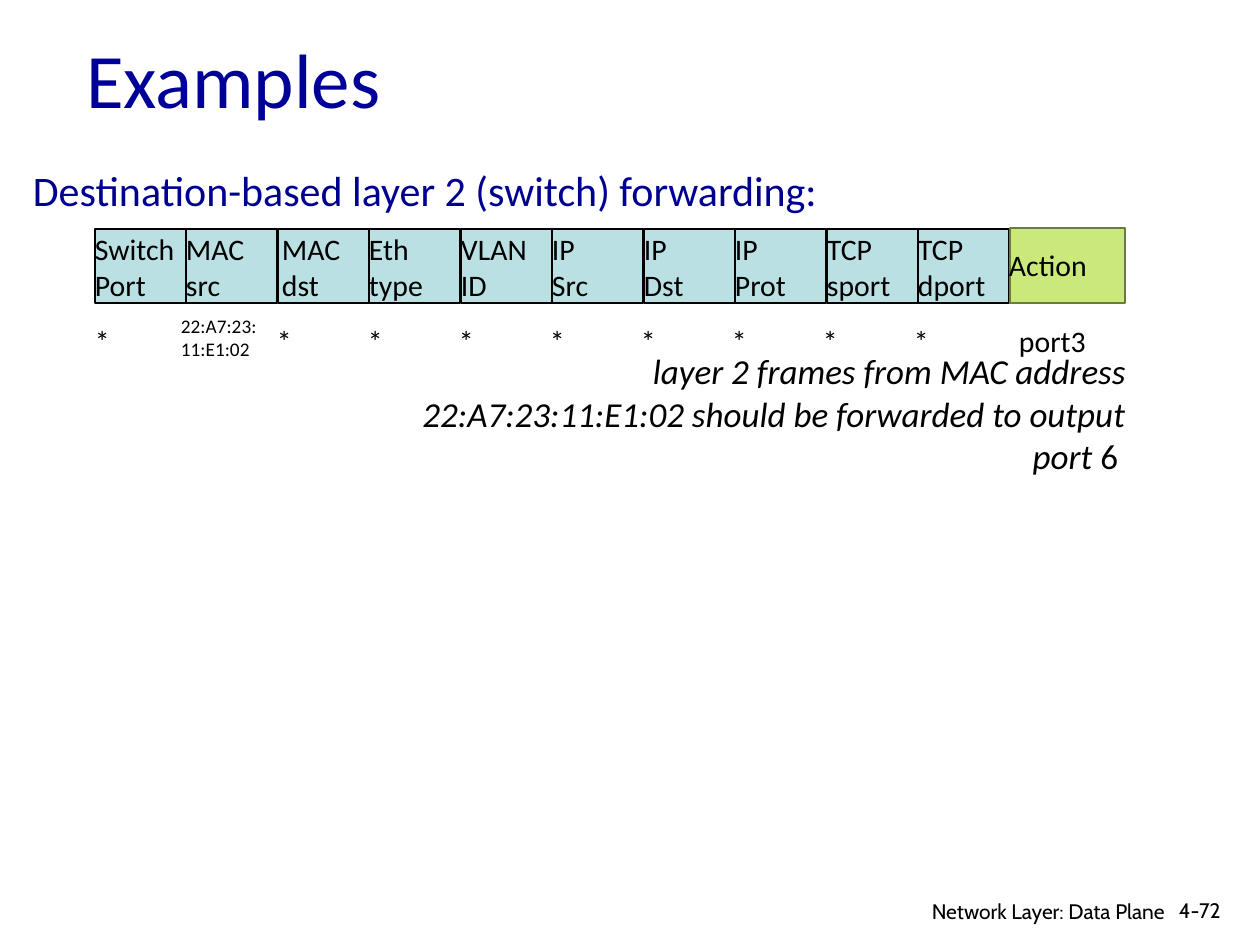
"""Build a slide showing a layer 2 forwarding rule as a flow table entry."""
from dataclasses import dataclass

from pptx import Presentation
from pptx import util as u
from pptx.dml import color
from pptx.enum import shapes, text

EMU_PER_PX = 914400 / 126
COLORS = {
    "title": "000099",
    "heading": "000090",
    "ink": "000000",
    "field": "BBE0E3",
    "action": "CBE97B",
    "action_edge": "697D3A",
}
FIELDS = [
    ("Switch", "Port"), ("MAC", "src"), ("MAC", "dst"), ("Eth", "type"), ("VLAN", "ID"),
    ("IP", "Src"), ("IP", "Dst"), ("IP", "Prot"), ("TCP", "sport"), ("TCP", "dport"),
]
MAC_SRC, MAC_DST = 1, 2
TABLE_LEFT, FIELD_WIDTH = 95, 91


@dataclass(frozen=True)
class Run:
    words: str
    italic: bool = False


@dataclass(frozen=True)
class Label:
    left: int
    top: int
    width: int
    height: int
    lines: tuple[tuple[Run, ...], ...]
    size: int = 17
    color: str = "ink"
    font: str = "Calibri"
    align: text.PP_ALIGN = text.PP_ALIGN.LEFT
    anchor: text.MSO_ANCHOR = text.MSO_ANCHOR.MIDDLE
    inset: tuple[int, int] = (0, 0)


@dataclass(frozen=True)
class Cell:
    left: int
    top: int
    width: int
    height: int
    fill: str
    edge: str


def px(length: int) -> u.Emu:
    """Turn pixels into EMU."""
    return u.Emu(round(length * EMU_PER_PX))


def rgb(name: str) -> color.RGBColor:
    """Look up a named colour."""
    return color.RGBColor.from_string(COLORS[name])


def plain(*lines: str) -> tuple[tuple[Run, ...], ...]:
    """Make one upright run for each line."""
    return tuple((Run(line),) for line in lines)


def draw_label(canvas, label: Label) -> None:
    """Add a text box to a slide's or group's shapes."""
    box = canvas.add_textbox(px(label.left), px(label.top), px(label.width), px(label.height))
    frame = box.text_frame
    frame.word_wrap = True
    frame.vertical_anchor = label.anchor
    frame.margin_left = frame.margin_right = px(label.inset[0])
    frame.margin_top = frame.margin_bottom = px(label.inset[1])
    for number, line in enumerate(label.lines):
        paragraph = frame.add_paragraph() if number else frame.paragraphs[0]
        paragraph.alignment = label.align
        for piece in line:
            run = paragraph.add_run()
            run.text = piece.words
            run.font.name = label.font
            run.font.size = u.Pt(label.size)
            run.font.italic = piece.italic
            run.font.color.rgb = rgb(label.color)


def draw_cell(canvas, cell: Cell) -> None:
    """Add an outlined rectangle to a slide's or group's shapes."""
    rectangle = canvas.add_shape(
        shapes.MSO_SHAPE.RECTANGLE, px(cell.left), px(cell.top), px(cell.width), px(cell.height))
    rectangle.shadow.inherit = False
    rectangle.fill.solid()
    rectangle.fill.fore_color.rgb = rgb(cell.fill)
    rectangle.line.color.rgb = rgb(cell.edge)
    rectangle.line.width = u.Pt(1)


def draw_header(canvas) -> None:
    """Draw the match field names and the action cell."""
    for index, names in enumerate(FIELDS):
        left = TABLE_LEFT + index * 183 // 2
        indent = 4 if index == MAC_DST else 0
        draw_cell(canvas, Cell(left, 229, FIELD_WIDTH, 74, "field", "ink"))
        draw_label(canvas, Label(left + indent, 227, FIELD_WIDTH - indent, 79, plain(*names)))
    draw_cell(canvas, Cell(1010, 228, 115, 75, "action", "action_edge"))
    draw_label(canvas, Label(1009, 243, 116, 44, plain("Action")))


def draw_entry(canvas) -> None:
    """Draw the values of the rule under the header."""
    for index in range(len(FIELDS)):
        if index == MAC_SRC:
            address = plain("22:A7:23:", "11:E1:02")
            draw_label(canvas, Label(181, 316, FIELD_WIDTH, 43, address, size=11))
        else:
            left = TABLE_LEFT + index * FIELD_WIDTH
            draw_label(canvas, Label(left, 319, FIELD_WIDTH, 44, plain("*")))
    draw_label(canvas, Label(1019, 319, FIELD_WIDTH, 44, plain("port3")))


def main() -> None:
    """Compose and save the slide."""
    deck = Presentation()
    deck.slide_width, deck.slide_height = px(1260), px(945)
    canvas = deck.slides.add_slide(deck.slide_layouts[6]).shapes
    draw_label(canvas, Label(33, 165, 906, 50, plain(
        "Destination-based layer 2 (switch) forwarding:"), size=24, color="heading"))
    draw_header(canvas.add_group_shape().shapes)
    draw_entry(canvas)
    draw_label(canvas, Label(
        73, -1, 387, 158, plain("Examples"), size=44, color="title", inset=(13, 6)))
    meaning = (
        Run("layer 2 frames from MAC address 22:A7:23:11:E1:02 "
            "should be forwarded to output port ", italic=True),
        Run("6 "),
    )
    draw_label(canvas, Label(
        388, 350, 738, 126, (meaning,), size=20, align=text.PP_ALIGN.RIGHT))
    for left, width, height, words, align in (
        (1166, 77, 38, "4-72", text.PP_ALIGN.LEFT),
        (878, 300, 33, "Network Layer: Data Plane", text.PP_ALIGN.RIGHT),
    ):
        draw_label(canvas, Label(
            left, 892, width, height, plain(words), size=12, font="Cabin",
            align=align, anchor=text.MSO_ANCHOR.TOP, inset=(13, 6)))
    deck.save("out.pptx")


if __name__ == "__main__":
    main()
